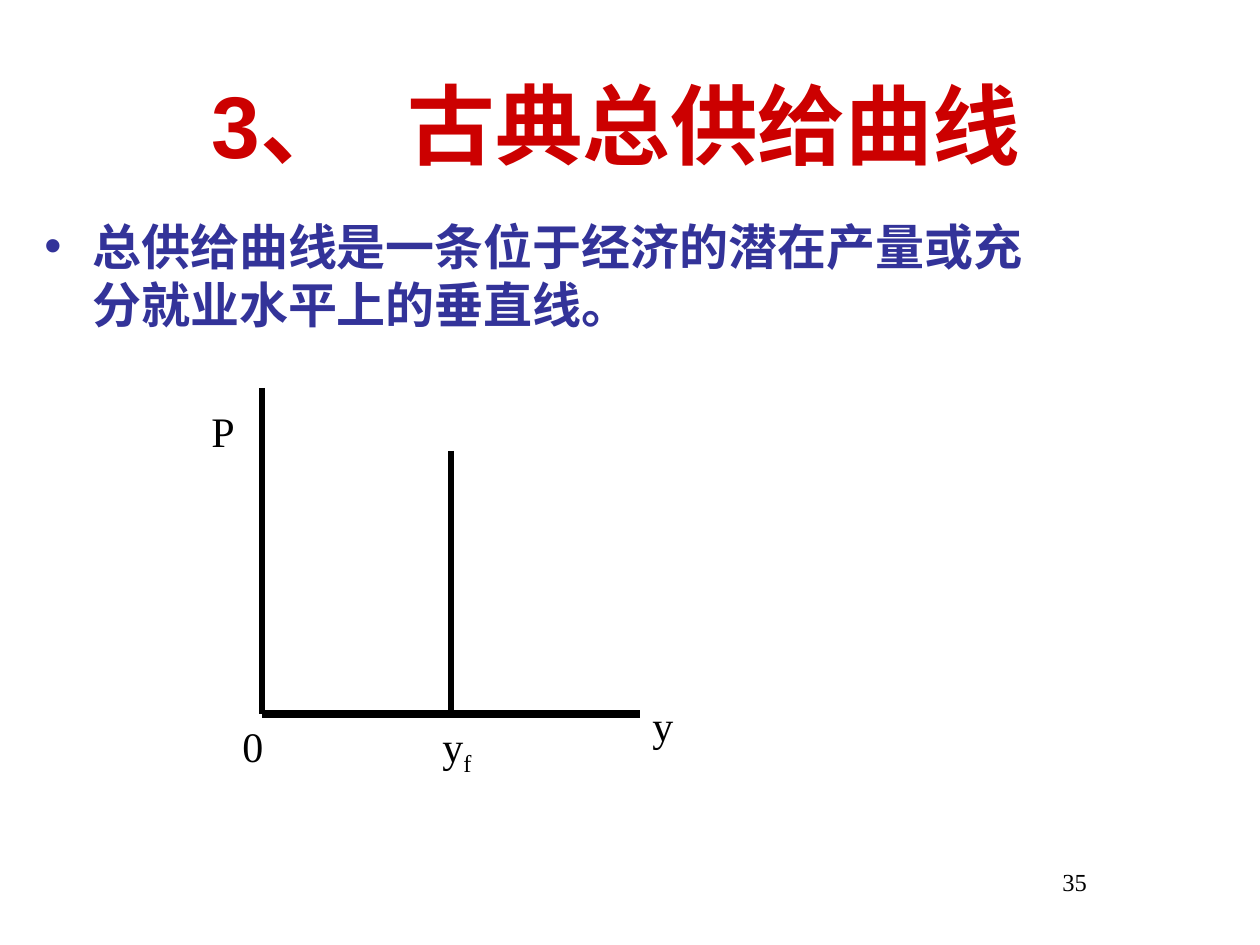
from lxml import etree
from pptx import Presentation
from pptx.dml.color import RGBColor
from pptx.enum.shapes import MSO_CONNECTOR
from pptx.enum.text import MSO_ANCHOR, MSO_AUTO_SIZE, PP_ALIGN
from pptx.oxml.ns import qn
from pptx.util import Emu, Pt

STRAIGHT = MSO_CONNECTOR.STRAIGHT
TOP, MIDDLE = MSO_ANCHOR.TOP, MSO_ANCHOR.MIDDLE
LEFT = PP_ALIGN.LEFT
NO_FIT = MSO_AUTO_SIZE.NONE

RED = RGBColor(0xCC, 0x00, 0x00)
BLUE = RGBColor(0x33, 0x33, 0x99)
BLACK = RGBColor(0x00, 0x00, 0x00)
SANS, SERIF = "Arial", "Times New Roman"


def px(n):
    return Emu(round(n * 914400 / 126))


def add_run(p, text, size, font, color, bold=False):
    r = p.add_run()
    r.text = text
    r.font.size = Pt(size)
    r.font.name = font
    r.font.bold = bold
    r.font.color.rgb = color
    return r


def set_frame(sp, anchor=TOP):
    tf = sp.text_frame
    tf.word_wrap = True
    tf.auto_size = NO_FIT
    tf.vertical_anchor = anchor
    p = tf.paragraphs[0]
    p.alignment = LEFT
    return p


def add_text(s, x, y, w, h):
    return set_frame(s.shapes.add_textbox(px(x), px(y), px(w), px(h)))


def add_label(s, x, y, w, h, text, size=24):
    p = add_text(s, x, y, w, h)
    add_run(p, text, size, SERIF, BLACK)
    return p


def add_line(s, x1, y1, x2, y2, width):
    c = s.shapes.add_connector(STRAIGHT, px(x1), px(y1), px(x2), px(y2))
    c.line.color.rgb = BLACK
    c.line.width = Pt(width)
    etree.SubElement(c._element.spPr, qn("a:effectLst"))


def add_title(s, x, y, w, h):
    sp = s.shapes.title
    sp.left, sp.top, sp.width, sp.height = px(x), px(y), px(w), px(h)
    p = set_frame(sp, MIDDLE)
    # A tab stop separates the number from the heading
    tabs = etree.SubElement(p._p.get_or_add_pPr(), qn("a:tabLst"))
    etree.SubElement(tabs, qn("a:tab"), pos=str(px(196)), algn="l")
    add_run(p, "3、\t古典总供给曲线", 50, SANS, RED, True)


def add_body(s, x, y, w, h):
    p = add_text(s, x, y, w, h)
    pPr = p._p.get_or_add_pPr()
    pPr.set("marL", str(px(48)))
    pPr.set("indent", str(-px(48)))
    color = etree.SubElement(pPr, qn("a:buClr"))
    etree.SubElement(color, qn("a:srgbClr"), val=str(BLUE))
    etree.SubElement(pPr, qn("a:buFont"), typeface=SANS)
    etree.SubElement(pPr, qn("a:buChar"), char="•")
    add_run(p, "总供给曲线是一条位于经济的潜在产量或充分就业水平上的垂直线。",
            28, SANS, BLUE, True)


def add_supply_diagram(s, x, y, w, h):
    base, middle = y + h, x + w / 2
    # Axes and the vertical supply curve
    add_line(s, x, y, x, base, 3)
    add_line(s, x, base, x + w, base, 4.5)
    add_line(s, middle, y + 63, middle, base, 3)
    # Axis labels
    add_label(s, x + w, base - 21, 116, 63, "y")
    p = add_label(s, middle - 21, base, 95, 71, "y")
    r = add_run(p, "f", 24, SERIF, BLACK)
    r.font._element.set("baseline", "-25000")
    add_label(s, x - 63, y + 11, 95, 63, "P")
    add_label(s, x - 32, base, 63, 63, "0")


def main():
    prs = Presentation()
    prs.slide_width, prs.slide_height = px(1260), px(945)
    s = prs.slides.add_slide(prs.slide_layouts[5])
    add_title(s, 199, 45, 1018, 158)
    add_body(s, 32, 210, 1018, 630)
    add_supply_diagram(s, 262, 388, 378, 326)
    # Page number
    add_label(s, 1050, 861, 210, 63, "35", 14)
    prs.save("out.pptx")


if __name__ == "__main__":
    main()
